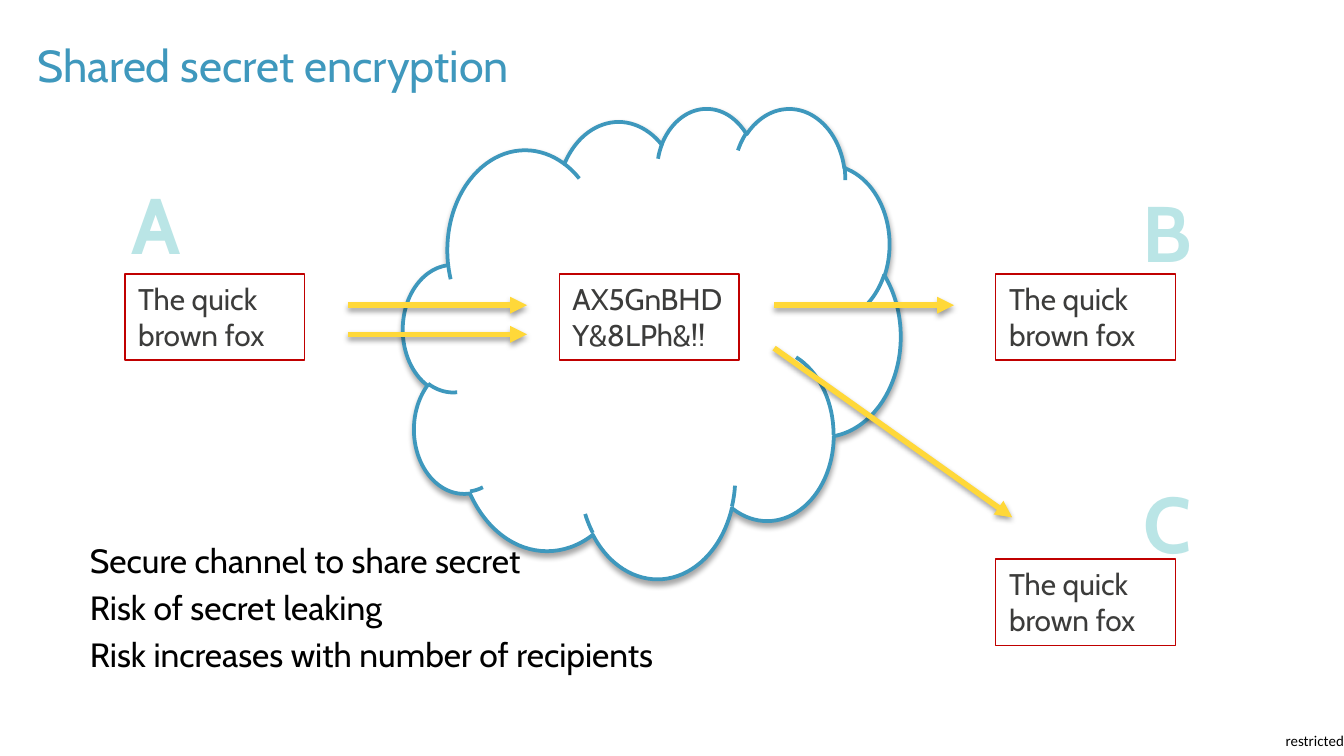
from lxml.etree import SubElement as Sub
from pptx import Presentation
from pptx.dml.color import RGBColor
from pptx.enum.shapes import MSO_CONNECTOR as Link, MSO_SHAPE as Kind
from pptx.enum.text import MSO_ANCHOR as Anchor, PP_ALIGN as Align
from pptx.oxml.ns import qn
from pptx.util import Cm, Pt


def rgb(code):
    return RGBColor.from_string(code)


def paint(node, code):
    """Append a solid fill to an XML node and return its colour element."""
    fill = Sub(node, qn("a:solidFill"))
    return Sub(fill, qn("a:srgbClr"), val=code)


def shade(shape, alpha, dist):
    """Cast a soft black shadow straight down."""
    props = shape._element.spPr
    for old in props.findall(qn("a:effectLst")):
        props.remove(old)
    cast = Sub(Sub(props, qn("a:effectLst")), qn("a:outerShdw"),
               blurRad=str(Pt(3)), dist=str(Pt(dist)), dir="5400000",
               algn="t", rotWithShape="0")
    tone = Sub(cast, qn("a:srgbClr"), val="000000")
    Sub(tone, qn("a:alpha"), val=str(alpha * 1000))


def write(frame, *lines, size=16, color="3C3C3B", font="Cabin", bold=False,
          align=Align.LEFT, anchor=Anchor.TOP, pad=None, gap=0, edge=None):
    """Fill a text frame with one paragraph per line; pad is (x, y) in cm."""
    frame.word_wrap = True
    frame.vertical_anchor = anchor
    if pad:
        frame.margin_left = frame.margin_right = Cm(pad[0])
        frame.margin_top = frame.margin_bottom = Cm(pad[1])
    for i, line in enumerate(lines):
        para = frame.add_paragraph() if i else frame.paragraphs[0]
        para.alignment = align
        para.space_before = Pt(gap if i else 0)
        run = para.add_run()
        run.text = line
        run.font.size = Pt(size)
        run.font.name = font
        run.font.bold = bold
        run.font.color.rgb = rgb(color)
        if edge:
            props = run.font._element
            ln = Sub(props, qn("a:ln"), w=str(Pt(1.75)))
            paint(ln, edge)
            props.insert(0, ln)


class Board:
    """Style of the deck and the slide being drawn."""
    blue, red, gold = "3E98BD", "C00000", "FFD839"
    pale, teal = "BAE5E6", "52BDC1"

    def __init__(self, slide):
        self.shapes = slide.shapes

    def text(self, x, y, w, h, *lines, **form):
        box = self.shapes.add_textbox(Cm(x), Cm(y), Cm(w), Cm(h))
        write(box.text_frame, *lines, **form)

    def shape(self, kind, x, y, w, h, line, width):
        item = self.shapes.add_shape(kind, Cm(x), Cm(y), Cm(w), Cm(h))
        item.shadow.inherit = False
        item.fill.background()
        item.line.color.rgb = rgb(line)
        item.line.width = Pt(width)
        return item

    def cloud(self, x, y, w, h):
        item = self.shape(Kind.CLOUD, x, y, w, h, self.blue, 2)
        item.fill.solid()
        item.fill.fore_color.rgb = rgb("FFFFFF")
        shade(item, 35, 1.8)

    def note(self, x, y, words):
        item = self.shape(Kind.RECTANGLE, x, y, 3.4, 1.63, self.red, 0.75)
        write(item.text_frame, words)

    def letter(self, x, y, name):
        self.text(x, y, 0.76, 1.93, name, size=42.2, color=self.pale,
                  bold=True, align=Align.CENTER, pad=(0.13, 0.08),
                  edge=self.teal)

    def arrow(self, x1, y1, x2, y2):
        item = self.shapes.add_connector(
            Link.STRAIGHT, Cm(x1), Cm(y1), Cm(x2), Cm(y2))
        item.line.color.rgb = rgb(self.gold)
        item.line.width = Pt(3)
        Sub(item.line._get_or_add_ln(), qn("a:tailEnd"), type="triangle")
        shade(item, 38, 1.6)


def main():
    deck = Presentation()
    deck.slide_width, deck.slide_height = Cm(25.4), Cm(14.29)
    board = Board(deck.slides.add_slide(deck.slide_layouts[6]))

    board.text(23.62, 13.67, 1.78, 0.64, "restricted", size=8,
               color="000000", font="Calibri", align=Align.RIGHT,
               anchor=Anchor.MIDDLE, pad=(0, 0))
    board.cloud(7.62, 2.03, 9.4, 8.89)
    board.text(0.46, 0.58, 24.31, 1.27, "Shared secret encryption",
               size=24, color="3F98BD", anchor=Anchor.BOTTOM)

    for x, y, name in ((2.36, 3.25, "A"), (21.46, 3.4, "B"),
                       (21.49, 8.89, "C")):
        board.letter(x, y, name)

    plain, cipher = "The quick brown fox", "AX5GnBHDY&8LPh&!!"
    for x, y, words in ((2.36, 5.18, plain), (10.57, 5.18, cipher),
                        (18.82, 5.18, plain), (18.82, 10.57, plain)):
        board.note(x, y, words)

    for ends in ((6.58, 5.77, 9.96, 5.77), (14.63, 5.77, 18.03, 5.77),
                 (6.58, 6.32, 9.96, 6.32), (14.63, 6.58, 19.13, 9.78)):
        board.arrow(*ends)

    board.text(1.45, 9.96, 20.14, 3.02, "Secure channel to share secret",
               "Risk of secret leaking",
               "Risk increases with number of recipients",
               size=18, color="000000", anchor=Anchor.MIDDLE, gap=3.6)
    deck.save("out.pptx")


if __name__ == "__main__":
    main()
